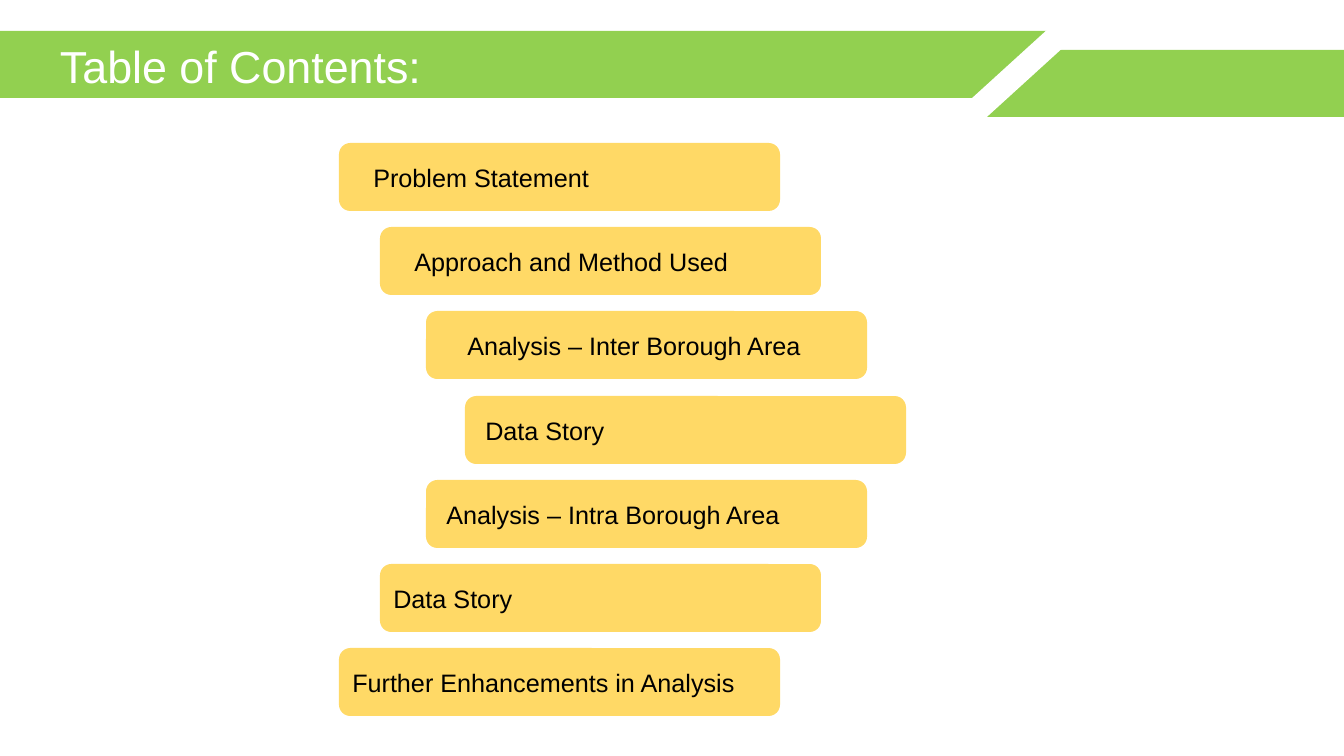
import dataclasses

import pptx
import pptx.dml.color
import pptx.enum.shapes
import pptx.enum.text
import pptx.util

SHAPE = pptx.enum.shapes.MSO_SHAPE
ANCHOR = pptx.enum.text.MSO_ANCHOR
ALIGN = pptx.enum.text.PP_ALIGN
SCALE = 914400 / 100.8

TOP, PITCH = 143, 84.2
WIDTH, HEIGHT = 441, 68

# text, left edge, text inset
ITEMS = [
    ("Problem Statement", 339, 31),
    ("Approach and Method Used", 380, 31),
    ("Analysis – Inter Borough Area", 426, 38),
    ("Data Story", 465, 17),
    ("Analysis – Intra Borough Area", 426, 17),
    ("Data Story", 380, 10),
    ("Further Enhancements in Analysis", 339, 10),
]


@dataclasses.dataclass(frozen=True)
class Theme:
    band: str = "92D050"
    card: str = "FFD966"
    light: str = "FFFFFF"
    dark: str = "000000"
    font: str = "Arial"
    head: int = 32
    body: int = 18


THEME = Theme()


def px(n):
    return pptx.util.Emu(round(n * SCALE))


def color(code):
    return pptx.dml.color.RGBColor.from_string(code)


def block(slide, kind, box, fill):
    """Add a plain filled shape; box is left, top, width, height in px."""
    shape = slide.shapes.add_shape(kind, *map(px, box))
    shape.shadow.inherit = False
    shape.fill.solid()
    shape.fill.fore_color.rgb = color(fill)
    shape.line.fill.background()
    return shape


def write(shape, text, size, ink, inset, anchor):
    """Set one left-aligned line of text and return its paragraph."""
    frame = shape.text_frame
    frame.word_wrap = True
    frame.margin_left = px(inset)
    frame.vertical_anchor = anchor
    para = frame.paragraphs[0]
    para.alignment = ALIGN.LEFT
    run = para.add_run()
    run.text = text
    run.font.name = THEME.font
    run.font.size = pptx.util.Pt(size)
    run.font.color.rgb = color(ink)
    return para


def header(slide):
    title = block(slide, SHAPE.RECTANGLE, (0, 31, 1058, 67), THEME.band)
    para = write(title, "Table of Contents:", THEME.head, THEME.light,
                 60, ANCHOR.BOTTOM)
    para.line_spacing = 0.9
    block(slide, SHAPE.RECTANGLE, (977, 50, 367, 67), THEME.band)
    slash = block(slide, SHAPE.RECTANGLE, (938, 60, 161, 24), THEME.light)
    slash.rotation = 137.7


def card(slide, row, text, left, inset):
    box = (left, TOP + round(row * PITCH), WIDTH, HEIGHT)
    shape = block(slide, SHAPE.ROUNDED_RECTANGLE, box, THEME.card)
    write(shape, text, THEME.body, THEME.dark, inset, ANCHOR.MIDDLE)


def main():
    deck = pptx.Presentation()
    deck.slide_width, deck.slide_height = px(1344), px(756)
    slide = deck.slides.add_slide(deck.slide_layouts[6])
    header(slide)
    for row, item in enumerate(ITEMS):
        card(slide, row, *item)
    deck.save("out.pptx")


if __name__ == "__main__":
    main()
